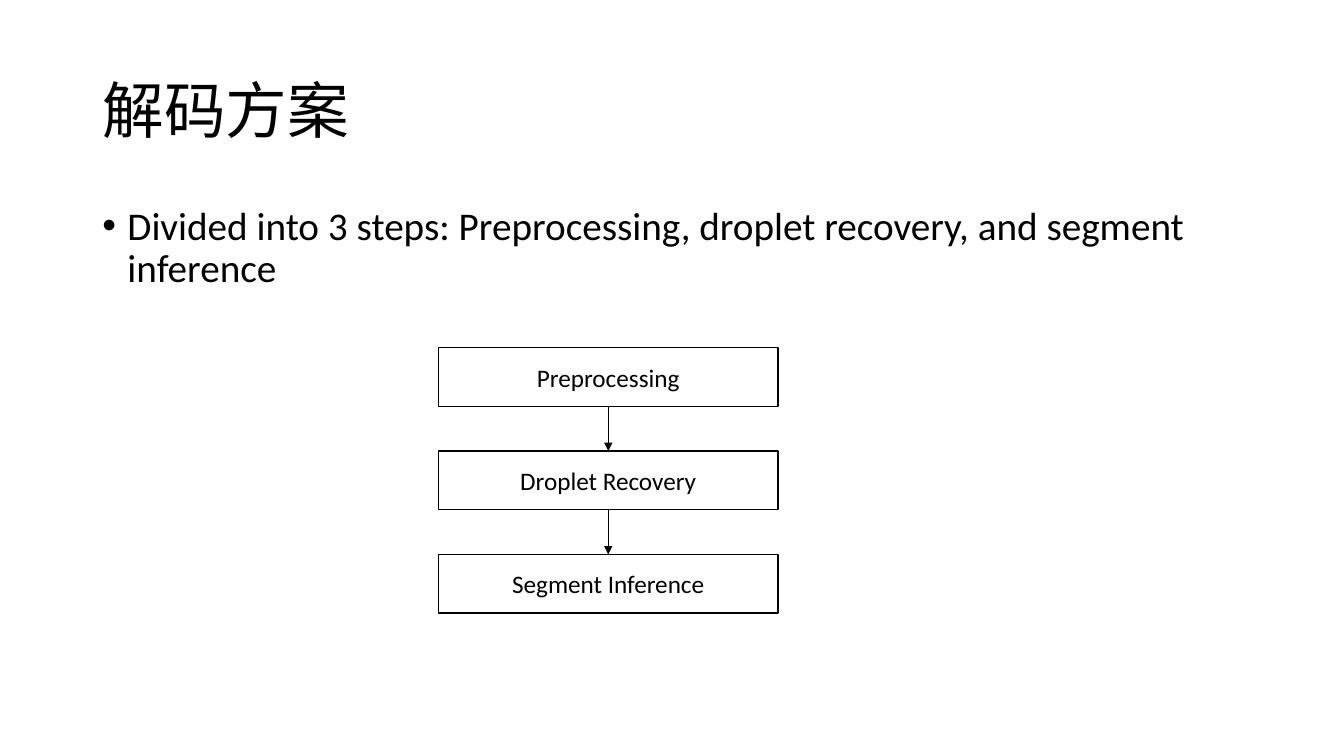
from dataclasses import dataclass
from itertools import pairwise

from lxml.etree import SubElement
from pptx import Presentation
from pptx.dml.color import RGBColor
from pptx.enum.shapes import MSO_CONNECTOR, MSO_SHAPE
from pptx.enum.text import MSO_ANCHOR, MSO_AUTO_SIZE, PP_ALIGN
from pptx.oxml.ns import qn
from pptx.shapes.autoshape import Shape
from pptx.shapes.shapetree import GroupShapes
from pptx.util import Pt


@dataclass(frozen=True)
class Theme:
    font: str = "Calibri"
    ink: RGBColor = RGBColor(0, 0, 0)
    paper: RGBColor = RGBColor(255, 255, 255)
    title_size: float = 44
    body_size: float = 28
    step_size: float = 18
    box_line: float = 1
    arrow_line: float = 0.5


@dataclass(frozen=True)
class Step:
    label: str
    top: float


THEME = Theme()
MARGIN, CONTENT_WIDTH = 66, 828
STEP_LEFT, STEP_WIDTH, STEP_HEIGHT = 313.2, 242.6, 41.8
FIRST_TOP, STEP_PITCH = 248.4, 73.8
LABELS = ("Preprocessing", "Droplet Recovery", "Segment Inference")
STEPS = [Step(label, FIRST_TOP + index * STEP_PITCH)
         for index, label in enumerate(LABELS)]
BOTTOM_SITE, TOP_SITE = 2, 0


def write_text(shape: Shape, text: str, *, size: float,
               align: PP_ALIGN = PP_ALIGN.LEFT,
               anchor: MSO_ANCHOR = MSO_ANCHOR.MIDDLE,
               line_spacing: float = 1, space_before: float = 0,
               bullet_indent: float = 0) -> None:
    frame = shape.text_frame
    frame.word_wrap = True
    frame.auto_size = MSO_AUTO_SIZE.NONE
    frame.vertical_anchor = anchor
    para = frame.paragraphs[0]
    para.alignment = align
    para.line_spacing = line_spacing
    para.space_before = Pt(space_before)
    if bullet_indent:
        properties = para._p.get_or_add_pPr()
        properties.set("marL", str(Pt(bullet_indent)))
        properties.set("indent", str(-Pt(bullet_indent)))
        SubElement(properties, qn("a:buFont"), typeface="Arial")
        SubElement(properties, qn("a:buChar"), char="•")
    span = para.add_run()
    span.text = text
    span.font.name = THEME.font
    span.font.size = Pt(size)
    span.font.color.rgb = THEME.ink


def add_step(shapes: GroupShapes, step: Step) -> Shape:
    box = shapes.add_shape(MSO_SHAPE.RECTANGLE, Pt(STEP_LEFT), Pt(step.top),
                           Pt(STEP_WIDTH), Pt(STEP_HEIGHT))
    box.shadow.inherit = False
    box.fill.solid()
    box.fill.fore_color.rgb = THEME.paper
    box.line.color.rgb = THEME.ink
    box.line.width = Pt(THEME.box_line)
    write_text(box, step.label, size=THEME.step_size, align=PP_ALIGN.CENTER)
    return box


def add_arrow(shapes: GroupShapes, upper: Shape, lower: Shape) -> None:
    center = upper.left + upper.width // 2
    arrow = shapes.add_connector(MSO_CONNECTOR.STRAIGHT, center,
                                 upper.top + upper.height, center, lower.top)
    arrow.begin_connect(upper, BOTTOM_SITE)
    arrow.end_connect(lower, TOP_SITE)
    arrow.line.color.rgb = THEME.ink
    arrow.line.width = Pt(THEME.arrow_line)
    SubElement(arrow.line._get_or_add_ln(), qn("a:tailEnd"), type="triangle")
    SubElement(arrow._element.spPr, qn("a:effectLst"))


def main() -> None:
    deck = Presentation()
    deck.slide_width, deck.slide_height = Pt(960), Pt(540)
    page = deck.slides.add_slide(deck.slide_layouts.get_by_name("Title Only"))

    title = page.shapes.title
    title.left, title.top = Pt(MARGIN), Pt(28.8)
    title.width, title.height = Pt(CONTENT_WIDTH), Pt(104.4)
    write_text(title, "解码方案", size=THEME.title_size, line_spacing=0.9)

    body = page.shapes.add_textbox(Pt(MARGIN), Pt(144),
                                   Pt(CONTENT_WIDTH), Pt(342.7))
    write_text(body, "Divided into 3 steps: Preprocessing, droplet recovery, "
               "and segment inference", size=THEME.body_size,
               anchor=MSO_ANCHOR.TOP, line_spacing=0.9, space_before=10,
               bullet_indent=18)

    flow = page.shapes.add_group_shape().shapes
    boxes = [add_step(flow, step) for step in STEPS]
    for upper, lower in pairwise(boxes):
        add_arrow(flow, upper, lower)

    deck.save("out.pptx")


if __name__ == "__main__":
    main()
